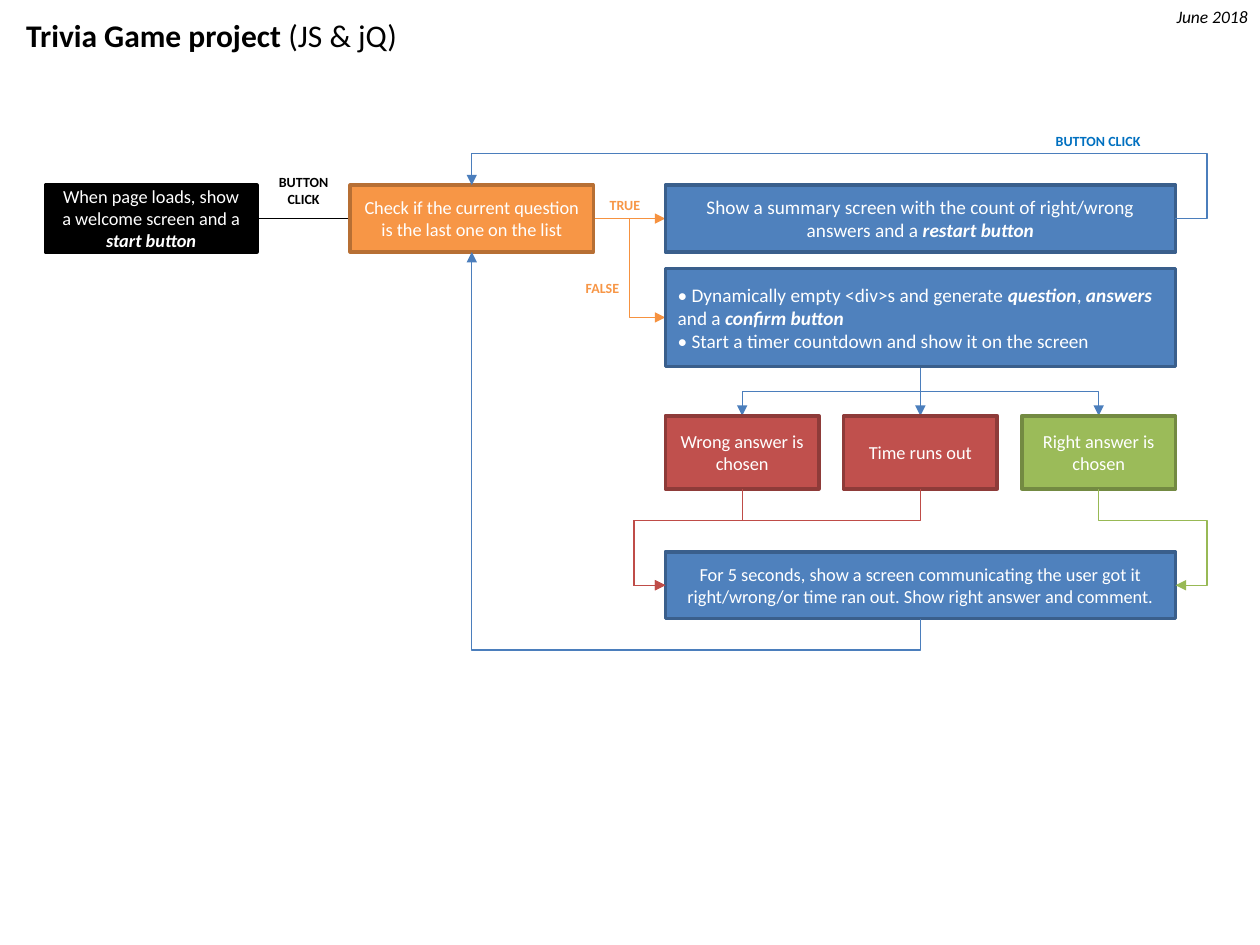
from pptx import Presentation
from pptx.util import Inches, Pt
from pptx.dml.color import RGBColor
from pptx.enum.shapes import MSO_CONNECTOR, MSO_SHAPE
from pptx.enum.text import MSO_ANCHOR, MSO_AUTO_SIZE, PP_ALIGN
from pptx.oxml.ns import qn
from lxml import etree

LEFT, CENTER, RIGHT = PP_ALIGN.LEFT, PP_ALIGN.CENTER, PP_ALIGN.RIGHT
THEME = {
    "font": "Calibri",
    "title": 18, "date": 10, "label": 8, "body": 10.5, "large": 11,
    "border": 2, "wire": 0.75,
    "black": "000000", "white": "FFFFFF", "orange": "F79646", "link": "0070C0",
    "start": ("000000", "000000"), "check": ("F79646", "B76F34"),
    "screen": ("4F81BD", "3A5F8C"), "wrong": ("C0504D", "8E3B39"),
    "right": ("9BBB59", "738A42"),
    "blue_wire": "4B7EBC", "orange_wire": "F69240",
    "red_wire": "BF4C48", "green_wire": "98B955",
}


def write_text(shape, paragraphs, size, color, align=LEFT, anchor=MSO_ANCHOR.TOP, wrap=True):
    """Each paragraph is a list of (text, style); style holds b and/or i."""
    tf = shape.text_frame
    tf.word_wrap = wrap
    tf.vertical_anchor = anchor
    for i, runs in enumerate(paragraphs):
        p = tf.paragraphs[0] if i == 0 else tf.add_paragraph()
        p.alignment = align
        for text, style in runs:
            r = p.add_run()
            r.text = text
            r.font.name = THEME["font"]
            r.font.size = Pt(THEME[size])
            r.font.bold, r.font.italic = "b" in style, "i" in style
            r.font.color.rgb = RGBColor.from_string(THEME[color])


def connect(start, end, color, vertical=False, lanes=(), arrow=True):
    """Join two points; lanes give the positions of the elbow's inner segments."""
    (x1, y1), (x2, y2) = start, end
    dx, dy = x2 - x1, y2 - y1
    straight = dx == 0 or dy == 0
    kind = MSO_CONNECTOR.STRAIGHT if straight else MSO_CONNECTOR.ELBOW
    turned = vertical and not straight
    if turned:
        # A vertical exit is a horizontal elbow turned about its centre
        cx, cy, w, h = (x1 + x2) / 2, (y1 + y2) / 2, abs(dy), abs(dx)
        x1, x2, y1, y2 = cx - w / 2, cx + w / 2, cy - h / 2, cy + h / 2
        if (dx < 0) == (dy < 0):
            x1, x2 = x2, x1
    c = s.shapes.add_connector(kind, Inches(x1), Inches(y1), Inches(x2), Inches(y2))
    c.line.color.rgb = RGBColor.from_string(THEME[color])
    c.line.width = Pt(THEME["wire"])
    props = c._element.spPr
    if turned:
        props.find(qn("a:xfrm")).set("rot", str((90 if dx < 0 else 270) * 60000))
    geom = props.find(qn("a:prstGeom"))
    if len(lanes) == 2:
        geom.set("prst", "bentConnector4")
    axes = [(start[0], dx), (start[1], dy)]
    if vertical:
        axes.reverse()
    for n, (lane, (origin, span)) in enumerate(zip(lanes, axes), 1):
        name = "adj" + str(n)
        etree.SubElement(geom.find(qn("a:avLst")), qn("a:gd"), name=name,
                         fmla=f"val {round((lane - origin) / span * 100000)}")
    if arrow:
        etree.SubElement(c.line._get_or_add_ln(), qn("a:tailEnd"), type="triangle")
    etree.SubElement(props, qn("a:effectLst"))


prs = Presentation()
prs.slide_width, prs.slide_height = Inches(10), Inches(7.5)
s = prs.slides.add_slide(prs.slide_layouts[6])

# Flowchart grid
TOP_Y, TOP_H = 1.47, 0.53
MID_Y, BOTTOM_Y = TOP_Y + TOP_H / 2, TOP_Y + TOP_H
CHECK_X, CHECK_W = 2.78, 1.93
CHECK_MID, CHECK_RIGHT = CHECK_X + CHECK_W / 2, CHECK_X + CHECK_W
MAIN_X, MAIN_W = 5.28, 4.05
MAIN_MID, MAIN_RIGHT = MAIN_X + MAIN_W / 2, MAIN_X + MAIN_W
QUESTION_Y, QUESTION_H = 2.13, 0.78
QUESTION_BOTTOM = QUESTION_Y + QUESTION_H
ANSWER_Y, ANSWER_W, ANSWER_H = 3.3, 1.22, 0.58
ANSWER_BOTTOM = ANSWER_Y + ANSWER_H
ANSWER_STEP = (MAIN_W - ANSWER_W) / 2
answer_x = [MAIN_X + i * ANSWER_STEP for i in range(3)]
answer_mid = [MAIN_MID + (i - 1) * ANSWER_STEP for i in range(3)]
RESULT_Y = 4.38
RESULT_MID, RESULT_BOTTOM = RESULT_Y + TOP_H / 2, RESULT_Y + TOP_H
GAP = 0.25

# Connectors behind the boxes
for x in answer_mid:
    connect((MAIN_MID, QUESTION_BOTTOM), (x, ANSWER_Y), "blue_wire", vertical=True)
connect((CHECK_RIGHT, MID_Y), (MAIN_X, MID_Y), "orange_wire")
connect((CHECK_RIGHT, MID_Y), (MAIN_X, QUESTION_Y + QUESTION_H / 2), "orange_wire")
connect((2.04, MID_Y), (CHECK_X, MID_Y), "black", arrow=False)

# Boxes
boxes = [
    (0.36, TOP_Y, 1.68, TOP_H, "start", "body", CENTER,
     [[("When page loads, show a welcome screen and a ", ""), ("start button", "bi")]]),
    (CHECK_X, TOP_Y, CHECK_W, TOP_H, "check", "body", CENTER,
     [[("Check if the current question is the last one on the list", "")]]),
    (MAIN_X, TOP_Y, MAIN_W, TOP_H, "screen", "large", CENTER,
     [[("Show a summary screen with the count of right/wrong answers and a ", ""),
       ("restart button", "bi")]]),
    (MAIN_X, QUESTION_Y, MAIN_W, QUESTION_H, "screen", "large", LEFT,
     [[("• Dynamically empty <div>s and generate ", ""), ("question", "bi"), (", ", ""),
       ("answers ", "bi"), ("and a ", ""), ("confirm button", "bi")],
      [("• Start a timer countdown and show it on the screen", "")]]),
    (MAIN_X, RESULT_Y, MAIN_W, TOP_H, "screen", "body", CENTER,
     [[("For 5 seconds, show a screen communicating the user got it "
        "right/wrong/or time ran out. Show right answer and comment.", "")]]),
]
answers = [("Wrong answer is chosen", "wrong"), ("Time runs out", "wrong"),
           ("Right answer is chosen", "right")]
for x, (text, style) in zip(answer_x, answers):
    boxes.append((x, ANSWER_Y, ANSWER_W, ANSWER_H, style, "body", CENTER, [[(text, "")]]))

for x, y, w, h, style, size, align, paragraphs in boxes:
    sp = s.shapes.add_shape(MSO_SHAPE.RECTANGLE, Inches(x), Inches(y), Inches(w), Inches(h))
    fill, line = THEME[style]
    sp.shadow.inherit = False
    sp.fill.solid()
    sp.fill.fore_color.rgb = RGBColor.from_string(fill)
    sp.line.color.rgb = RGBColor.from_string(line)
    sp.line.width = Pt(THEME["border"])
    write_text(sp, paragraphs, size, "white", align, MSO_ANCHOR.MIDDLE)

# Connectors in front of the boxes
connect((MAIN_RIGHT, MID_Y), (CHECK_MID, TOP_Y), "blue_wire",
        lanes=(MAIN_RIGHT + GAP, TOP_Y - GAP))
answer_lane = ANSWER_BOTTOM + GAP
for x in answer_mid[:2]:
    connect((x, ANSWER_BOTTOM), (MAIN_X, RESULT_MID), "red_wire", vertical=True,
            lanes=(answer_lane, MAIN_X - GAP))
connect((answer_mid[2], ANSWER_BOTTOM), (MAIN_RIGHT, RESULT_MID), "green_wire", vertical=True,
        lanes=(answer_lane, MAIN_RIGHT + GAP))
connect((MAIN_MID, RESULT_BOTTOM), (CHECK_MID, BOTTOM_Y), "blue_wire", vertical=True,
        lanes=(RESULT_BOTTOM + GAP,))

# Title, date and connector labels
labels = [
    (0.11, 0.08, 3.17, 0.4, "title", "black", LEFT, False,
     [("Trivia Game project", "b"), (" (JS & jQ)", "")]),
    (9.22, 0, 0.78, 0.27, "date", "black", RIGHT, False, [("June 2018", "i")]),
    (4.74, 1.51, 0.45, 0.24, "label", "orange", LEFT, False, [("TRUE", "b")]),
    (4.55, 2.17, 0.48, 0.24, "label", "orange", LEFT, False, [("FALSE", "b")]),
    (8.28, 1, 0.88, 0.24, "label", "link", LEFT, False, [("BUTTON CLICK", "b")]),
    (2.05, 1.33, 0.72, 0.37, "label", "black", CENTER, True, [("BUTTON CLICK", "b")]),
]
for x, y, w, h, size, color, align, wrap, runs in labels:
    tb = s.shapes.add_textbox(Inches(x), Inches(y), Inches(w), Inches(h))
    write_text(tb, [runs], size, color, align, wrap=wrap)
    tb.text_frame.auto_size = MSO_AUTO_SIZE.SHAPE_TO_FIT_TEXT

prs.save("out.pptx")
